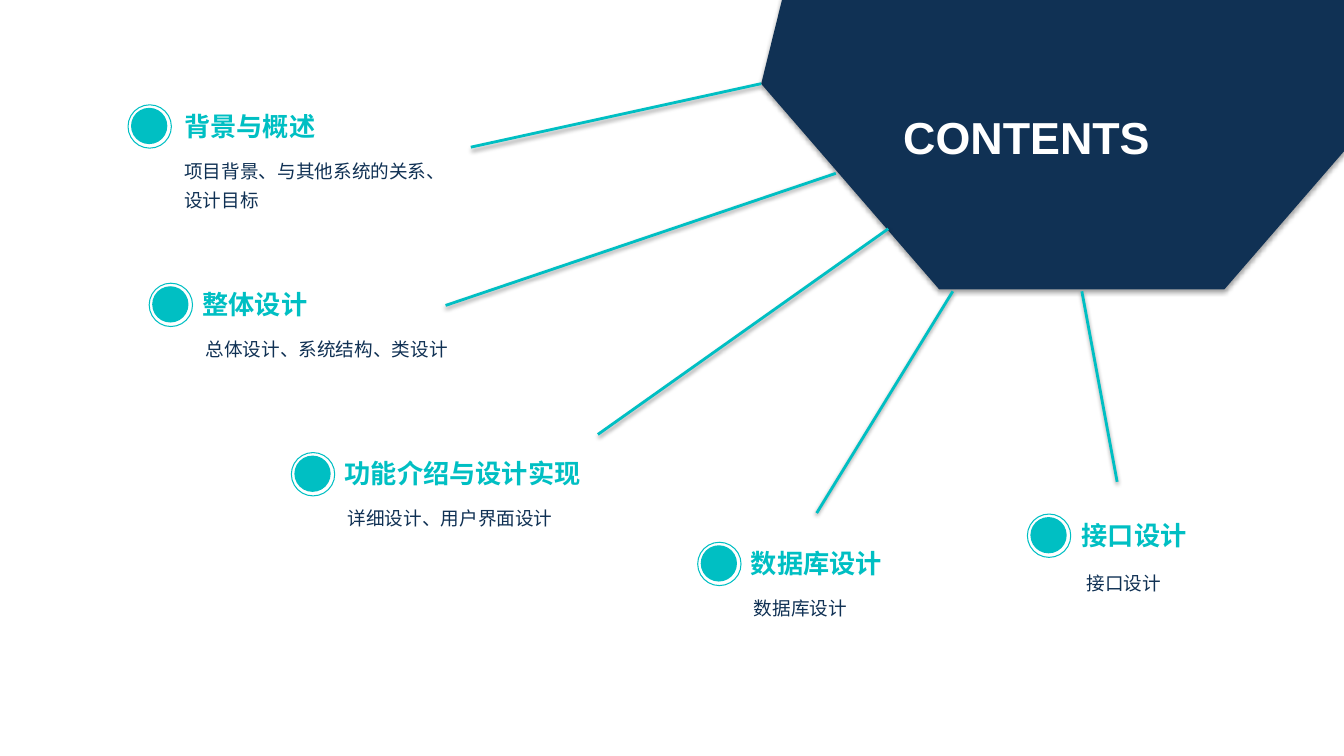
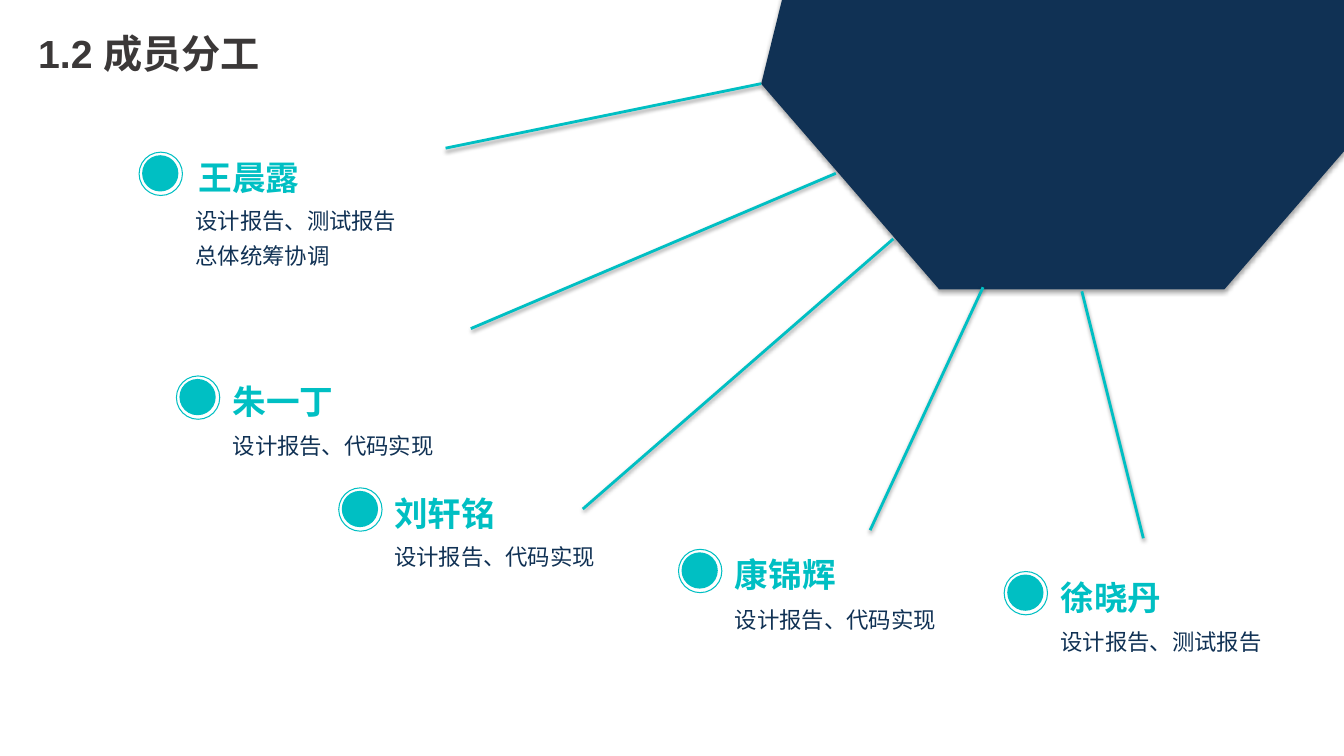
"""Build a contents slide and a team slide whose topics radiate from a heptagon."""
import pptx
import pptx.dml.color
import pptx.enum.shapes
import pptx.enum.text
import pptx.oxml.ns
import pptx.util
from lxml import etree

PX = 9144
COLOURS = {"navy": "103154", "teal": "00BFC3", "white": "FFFFFF", "title": "3B3838", "shadow": "000000"}
LATIN, CHINESE = "Arial", "Noto Sans CJK SC"
RING, DISC, INSET = 43, 36, 3
SHAPES = pptx.enum.shapes.MSO_SHAPE
RGB = pptx.dml.color.RGBColor.from_string
qn = pptx.oxml.ns.qn


def add_text(slide, place, paragraphs, size, colour, bold=False, wrap=False, spacing=None):
    """Write paragraphs, each a list of (text, font name) runs, into a text box."""
    box = slide.shapes.add_textbox(*[value * PX for value in place])
    frame_format = {"word_wrap": wrap, "auto_size": pptx.enum.text.MSO_AUTO_SIZE.SHAPE_TO_FIT_TEXT}
    for name, value in frame_format.items():
        setattr(box.text_frame, name, value)
    for index, runs in enumerate(paragraphs):
        paragraph = box.text_frame.add_paragraph() if index else box.text_frame.paragraphs[0]
        paragraph.line_spacing = spacing
        for text, font_name in runs:
            run = paragraph.add_run()
            run.text = text
            font_format = {"name": font_name, "size": pptx.util.Pt(size), "bold": bold}
            for name, value in font_format.items():
                setattr(run.font, name, value)
            run.font.color.rgb = RGB(COLOURS[colour])
            properties = run.font._element
            etree.SubElement(properties, qn("a:ea"), typeface=CHINESE)


def add_shadow(shape, distance, opacity):
    """Give a shape a soft shadow straight below it."""
    effects = etree.SubElement(shape._element.spPr, qn("a:effectLst"))
    shadow = etree.SubElement(
        effects, qn("a:outerShdw"), blurRad=str(pptx.util.Pt(3.1)), dist=str(pptx.util.Pt(distance)),
        dir="5400000", algn="ctr", rotWithShape="0")
    colour = etree.SubElement(shadow, qn("a:srgbClr"), val=COLOURS["shadow"])
    etree.SubElement(colour, qn("a:alpha"), val=str(opacity * 1000))


slides = [
    {
        "heading_size": 18.7,
        "body_size": 13.3,
        "topics": [
            ((127, 104), (173, 151), "背景与概述", (173, 147, 273, 66), ["项目背景、与其他系统的关系、设计目标"]),
            ((148, 281), (191, 125), "整体设计", (194, 324, 273, 36), ["总体设计、系统结构、类设计"]),
            ((289, 449), (332, 262), "功能介绍与设计实现", (335, 491, 273, 36), ["详细设计、用户界面设计"]),
            ((692, 538), (735, 151), "数据库设计", (738, 581, 273, 36), ["数据库设计"]),
            ((1019, 510), (1063, 125), "接口设计", (1068, 556, 273, 36), ["接口设计"]),
        ],
        "rays": [(467, 146, 755, 83), (442, 303, 829, 172), (593, 431, 881, 227),
                 (810, 509, 945, 289), (1108, 478, 1073, 289)],
        "title": {"place": (886, 104, 267, 64), "paragraphs": [[("CONTENTS", LATIN)]],
                  "size": 32, "colour": "white"},
    },
    {
        "heading_size": 24,
        "body_size": 16,
        "topics": [
            ((138, 151), (187, 122), "王晨露", (184, 193, 273, 76), ["设计报告、测试报告", "总体统筹协调"]),
            ((175, 373), (221, 122), "朱一丁", (221, 416, 256, 42), ["设计报告、代码实现"]),
            ((336, 484), (381, 122), "刘轩铭", (381, 526, 285, 42), ["设计报告、代码实现"]),
            ((673, 545), (719, 122), "康锦辉", (719, 588, 236, 42), ["设计报告、代码实现"]),
            ((996, 567), (1042, 122), "徐晓丹", (1042, 610, 222, 42), ["设计报告、测试报告"]),
        ],
        "rays": [(442, 147, 755, 83), (467, 326, 829, 172), (578, 505, 886, 237),
                 (863, 526, 975, 285), (1134, 534, 1073, 289)],
        "title": {"place": (28, 24, 511, 57), "paragraphs": [[("1.2 ", LATIN), ("成员分工", CHINESE)]],
                  "size": 28, "colour": "title", "wrap": True},
    },
]

presentation = pptx.Presentation()
presentation.slide_width = 1333 * PX
presentation.slide_height = 750 * PX

for content in slides:
    slide = presentation.slides.add_slide(presentation.slide_layouts[6])

    heptagon = slide.shapes.add_shape(SHAPES.HEPTAGON, 755 * PX, -284 * PX, 636 * PX, 571 * PX)
    heptagon.fill.solid()
    heptagon.fill.fore_color.rgb = RGB(COLOURS["navy"])
    heptagon.line.fill.background()
    add_shadow(heptagon, 1.8, 35)

    for ring_place, (heading_left, heading_width), heading, body_place, body in content["topics"]:
        left, top = ring_place
        add_text(slide, (heading_left, top, heading_width, 42), [[(heading, LATIN)]],
                 content["heading_size"], "teal", bold=True)
        add_text(slide, body_place, [[(line, LATIN)] for line in body],
                 content["body_size"], "navy", wrap=True, spacing=1.3)
        badge = slide.shapes.add_group_shape()
        disc = badge.shapes.add_shape(
            SHAPES.OVAL, (left + INSET) * PX, (top + INSET) * PX, DISC * PX, DISC * PX)
        disc.fill.solid()
        disc.fill.fore_color.rgb = RGB(COLOURS["teal"])
        disc.line.fill.background()
        ring = badge.shapes.add_shape(SHAPES.OVAL, left * PX, top * PX, RING * PX, RING * PX)
        ring.fill.background()
        ring.line.color.rgb = RGB(COLOURS["teal"])
        ring.line.width = pptx.util.Pt(0.75)
        for shape in (disc, ring):
            shape.shadow.inherit = False

    for ends in content["rays"]:
        ray = slide.shapes.add_connector(
            pptx.enum.shapes.MSO_CONNECTOR.STRAIGHT, *[value * PX for value in ends])
        ray.line.color.rgb = RGB(COLOURS["teal"])
        ray.line.width = pptx.util.Pt(2)
        add_shadow(ray, 1.6, 38)

    add_text(slide, bold=True, **content["title"])

presentation.save("out.pptx")
